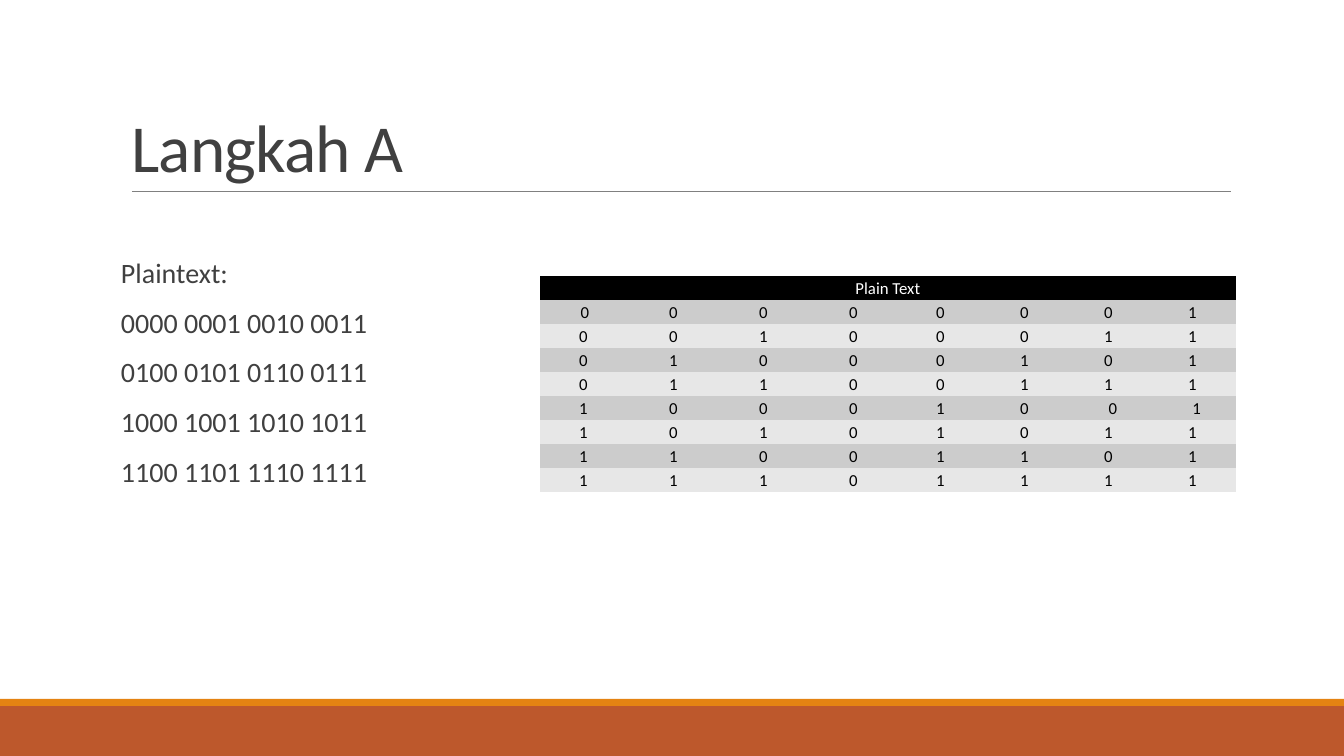
import dataclasses

import pptx
import pptx.dml.color
import pptx.enum.shapes
import pptx.enum.text
import pptx.oxml.ns
import pptx.util
from lxml import etree

EMU_PER_PIXEL = 12192000 / 1344
FONT = "Calibri"
PLAIN_TABLE_STYLE = "{2D5ABB26-0587-4C30-8999-92F81FD0307C}"
COLORS = {
    "rust": "BD582C",
    "orange": "E48312",
    "rule": "808080",
    "text": "404040",
    "black": "000000",
    "white": "FFFFFF",
    "dark band": "CCCCCC",
    "light band": "E7E7E7",
}
PLAINTEXT_LINES = [
    "Plaintext:",
    "0000 0001 0010 0011",
    "0100 0101 0110 0111",
    "1000 1001 1010 1011",
    "1100 1101 1110 1111",
]
BIT_ROWS = [
    "00000001",
    "00100011",
    "01000101",
    "01100111",
    "10001001",
    "10101011",
    "11001101",
    "11101111",
]
COLUMN_WIDTHS = [90] * 4 + [84] * 4
ROW_HEIGHT = 24
CELL_MARGIN = 1
BIT_RIGHT_MARGIN = 4
LEFT_MARGINS = {(1, 0): 4, (5, 6): 10, (5, 7): 10}


@dataclasses.dataclass
class Box:
    left: int
    top: int
    width: int
    height: int


@dataclasses.dataclass
class Bar:
    box: Box
    color: str


BARS = [
    Bar(Box(0, 706, 1344, 50), "rust"),
    Bar(Box(0, 699, 1344, 7), "orange"),
]


def px(pixels: int) -> int:
    return round(pixels * EMU_PER_PIXEL)


def place(box: Box) -> tuple:
    return tuple(px(length) for length in dataclasses.astuple(box))


def rgb(name: str) -> pptx.dml.color.RGBColor:
    return pptx.dml.color.RGBColor.from_string(COLORS[name])


def write(para, text: str, *, size: int, color: str, align="LEFT",
          line_spacing=1.0, before=0, after=0, tracking=0) -> None:
    para.alignment = getattr(pptx.enum.text.PP_ALIGN, align)
    para.line_spacing = line_spacing
    para.space_before = pptx.util.Pt(before)
    para.space_after = pptx.util.Pt(after)
    span = para.add_run()
    span.text = text
    span.font.name = FONT
    span.font.size = pptx.util.Pt(size)
    span.font.color.rgb = rgb(color)
    if tracking:
        span._r.get_or_add_rPr().set("spc", str(tracking))


def draw_bar(page, bar: Bar) -> None:
    shape = page.shapes.add_shape(
        pptx.enum.shapes.MSO_SHAPE.RECTANGLE, *place(bar.box))
    shape.shadow.inherit = False
    shape.fill.solid()
    shape.fill.fore_color.rgb = rgb(bar.color)
    shape.line.fill.background()


def draw_rule(page, left: int, right: int, top: int) -> None:
    rule = page.shapes.add_connector(
        pptx.enum.shapes.MSO_CONNECTOR.STRAIGHT,
        px(left), px(top), px(right), px(top))
    rule.line.color.rgb = rgb("rule")
    rule.line.width = pptx.util.Pt(0.5)
    etree.SubElement(rule._element.spPr, pptx.oxml.ns.qn("a:effectLst"))


def prepare(holder, box: Box, anchor: str):
    holder.left, holder.top, holder.width, holder.height = place(box)
    frame = holder.text_frame
    frame.word_wrap = True
    frame.auto_size = pptx.enum.text.MSO_AUTO_SIZE.NONE
    frame.vertical_anchor = getattr(pptx.enum.text.MSO_ANCHOR, anchor)
    return frame


def fill_title(page) -> None:
    frame = prepare(page.shapes.title, Box(121, 31, 1109, 160), "BOTTOM")
    write(frame.paragraphs[0], "Langkah A", size=48, color="text",
          line_spacing=0.85, tracking=-50)


def fill_body(page) -> None:
    frame = prepare(page.placeholders[1], Box(121, 204, 1109, 444), "TOP")
    frame.margin_left = frame.margin_right = 0
    frame.margin_top, frame.margin_bottom = px(55), px(5)
    for index, line in enumerate(PLAINTEXT_LINES):
        para = frame.add_paragraph() if index else frame.paragraphs[0]
        write(para, line, size=20, color="text",
              line_spacing=0.9, before=12, after=2)
        properties = para._p.get_or_add_pPr()
        properties.set("marL", "0")
        properties.set("indent", "0")
        etree.SubElement(properties, pptx.oxml.ns.qn("a:buNone"))


def fill_cell(cell, text: str, *, fill: str, color: str,
              left=CELL_MARGIN, right=CELL_MARGIN) -> None:
    cell.fill.solid()
    cell.fill.fore_color.rgb = rgb(fill)
    cell.margin_left, cell.margin_right = px(left), px(right)
    cell.margin_top = cell.margin_bottom = px(CELL_MARGIN)
    cell.vertical_anchor = pptx.enum.text.MSO_ANCHOR.MIDDLE
    write(cell.text_frame.paragraphs[0], text, size=12, color=color,
          align="CENTER", line_spacing=1.07)


def draw_bit_table(page) -> None:
    row_count = len(BIT_ROWS) + 1
    box = Box(540, 276, sum(COLUMN_WIDTHS), row_count * ROW_HEIGHT)
    graphic = page.shapes.add_table(row_count, len(COLUMN_WIDTHS), *place(box))
    table = graphic.table
    style = table._tbl.tblPr.find(pptx.oxml.ns.qn("a:tableStyleId"))
    style.text = PLAIN_TABLE_STYLE
    for column, width in zip(table.columns, COLUMN_WIDTHS):
        column.width = px(width)
    for row in table.rows:
        row.height = px(ROW_HEIGHT)
    header = table.cell(0, 0)
    header.merge(table.cell(0, len(COLUMN_WIDTHS) - 1))
    fill_cell(header, "Plain Text", fill="black", color="white")
    for row_index, bits in enumerate(BIT_ROWS, start=1):
        band = "dark band" if row_index % 2 else "light band"
        for column_index, bit in enumerate(bits):
            left = LEFT_MARGINS.get((row_index, column_index), CELL_MARGIN)
            fill_cell(table.cell(row_index, column_index), bit, fill=band,
                      color="black", left=left, right=BIT_RIGHT_MARGIN)


def main() -> None:
    deck = pptx.Presentation()
    deck.slide_width, deck.slide_height = px(1344), px(756)
    page = deck.slides.add_slide(deck.slide_layouts[1])
    page.background.fill.solid()
    page.background.fill.fore_color.rgb = rgb("white")
    for bar in BARS:
        draw_bar(page, bar)
    draw_rule(page, 132, 1231, 191)
    fill_title(page)
    fill_body(page)
    draw_bit_table(page)
    deck.save("out.pptx")


main()
